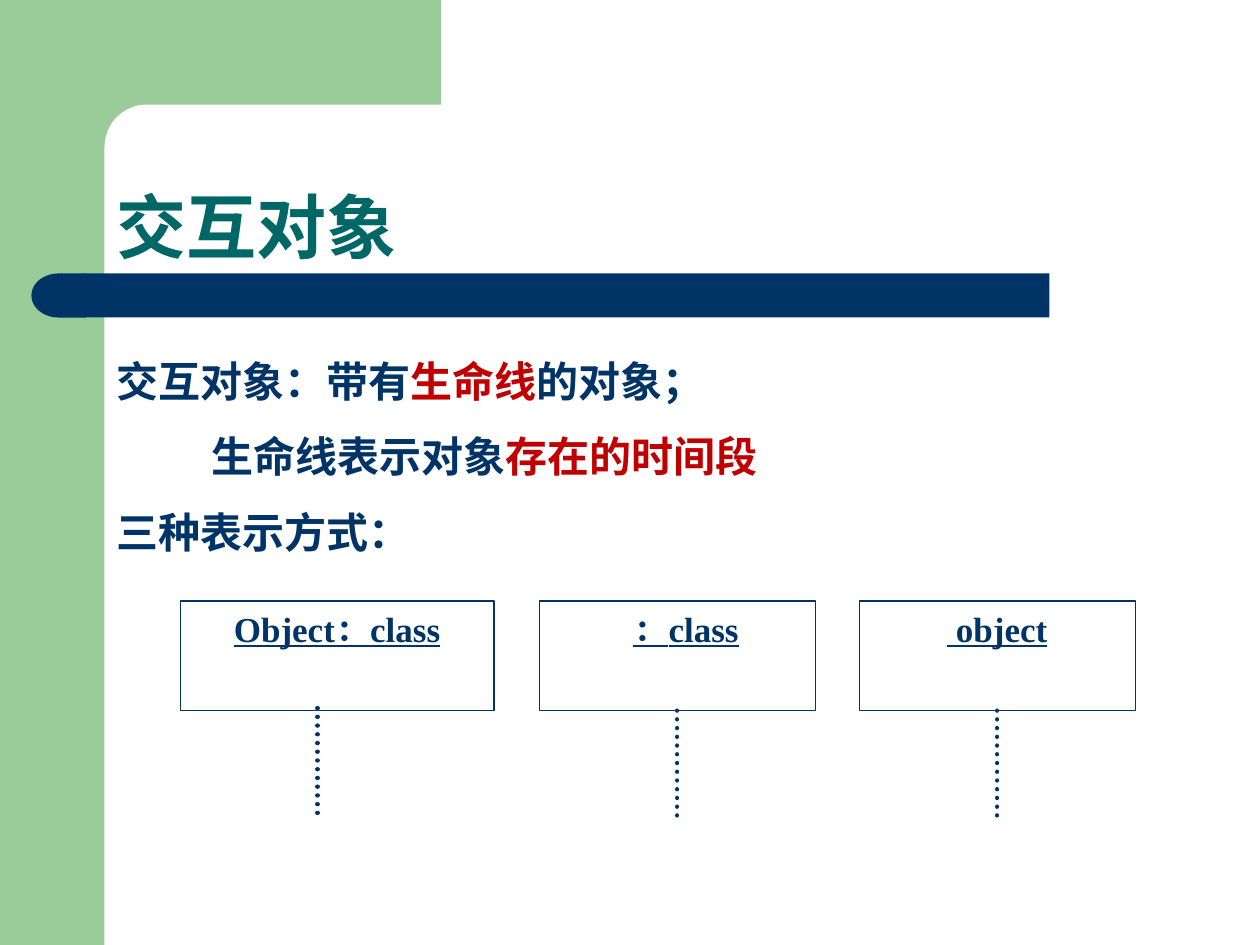
from pptx import Presentation
from pptx.dml.color import RGBColor
from pptx.enum.shapes import MSO_CONNECTOR, MSO_SHAPE
from pptx.enum.text import MSO_ANCHOR, PP_ALIGN
from pptx.oxml.ns import qn
from pptx.util import Inches, Pt
from lxml.etree import SubElement

COLORS = {"green": "99CC99", "white": "FFFFFF", "navy": "003366",
          "teal": "006666", "red": "C00000"}
CJK_TITLE, CJK_BODY, LATIN = "Noto Sans CJK JP", "Noto Sans CJK SC", "Times New Roman"


def rgb(name):
    return RGBColor.from_string(COLORS[name])


def add_box(s, kind, x, y, w, h, fill=None, line=None):
    sp = s.shapes.add_shape(kind, Inches(x), Inches(y), Inches(w), Inches(h))
    sp.shadow.inherit = False
    if fill:
        sp.fill.solid()
        sp.fill.fore_color.rgb = rgb(fill)
    else:
        sp.fill.background()
    if line:
        sp.line.color.rgb = rgb(line)
        sp.line.width = Pt(0.75)
    else:
        sp.line.fill.background()
    return sp


def set_text(sp, paragraphs, size, font, ea_font=None, align=PP_ALIGN.LEFT,
             anchor=MSO_ANCHOR.TOP, spacing=1.0, underline=False,
             left=0.1, right=0.1):
    """Fill a shape; each paragraph is (indent, [(text, colour), ...])."""
    tf = sp.text_frame
    tf.word_wrap = True
    tf.vertical_anchor = anchor
    tf.margin_left, tf.margin_right = Inches(left), Inches(right)
    tf.margin_top = tf.margin_bottom = Inches(0.05)
    for i, (indent, runs) in enumerate(paragraphs):
        p = tf.add_paragraph() if i else tf.paragraphs[0]
        p.alignment = align
        p.line_spacing = spacing
        if indent:
            p._p.get_or_add_pPr().set("marL", str(Inches(indent)))
        for text, color in runs:
            r = p.add_run()
            r.text = text
            r.font.size, r.font.name = Pt(size), font
            r.font.bold, r.font.underline = True, underline
            r.font.color.rgb = rgb(color)
            SubElement(r._r.get_or_add_rPr(), qn("a:ea"), typeface=ea_font or font)


def add_background(s, w, h):
    edge = 0.83
    add_box(s, MSO_SHAPE.RECTANGLE, 0, 0, edge, h, fill="green")
    add_box(s, MSO_SHAPE.RECTANGLE, 0.75, 0, w * 0.35 - 0.75, 1.17, fill="green")
    corner = add_box(s, MSO_SHAPE.ROUNDED_RECTANGLE, edge, edge, 5.58, 0.67, fill="white")
    corner.adjustments[0] = 0.5


def add_title(s, x, y, w, h):
    sp = s.shapes.add_textbox(Inches(x), Inches(y), Inches(w), Inches(h))
    set_text(sp, [(0, [("交互对象", "teal")])], 40, CJK_TITLE,
             anchor=MSO_ANCHOR.BOTTOM, spacing=0.9)


def add_title_bar(s, x, y, w, h):
    cap = 0.43
    add_box(s, MSO_SHAPE.RECTANGLE, x + cap - 0.01, y, w - cap + 0.01, h, fill="navy")
    sp = add_box(s, MSO_SHAPE.FLOWCHART_DELAY, x, y, cap, h, fill="navy")
    sp._element.spPr.find(qn("a:xfrm")).set("flipH", "1")


def add_body(s, x, y, w, h):
    sp = s.shapes.add_textbox(Inches(x), Inches(y), Inches(w), Inches(h))
    set_text(sp, [
        (0, [("交互对象：带有", "navy"), ("生命线", "red"), ("的对象；", "navy")]),
        (0.75, [("生命线表示对象", "navy"), ("存在的时间段", "red")]),
        (0, [("三种表示方式：", "navy")]),
    ], 24, CJK_BODY, spacing=1.5)


def add_lifeline(s, x, top, bottom):
    line = s.shapes.add_connector(MSO_CONNECTOR.STRAIGHT, Inches(x), Inches(top),
                                  Inches(x), Inches(bottom))
    line.line.color.rgb = rgb("navy")
    line.line.width = Pt(2.5)
    ln = line.line._get_or_add_ln()
    ln.set("cap", "rnd")
    SubElement(ln, qn("a:prstDash"), val="sysDot")
    SubElement(line._element.spPr, qn("a:effectLst"))
    return line


def add_object(s, x, y, w, h, text, line_x=None, left=0.0, right=0.0):
    """Object box with its lifeline, centred unless line_x is given."""
    sp = add_box(s, MSO_SHAPE.RECTANGLE, x, y, w, h, line="navy")
    set_text(sp, [(0, [(text, "navy")])], 20, LATIN, align=PP_ALIGN.CENTER,
             underline=True, left=left, right=right)
    line = add_lifeline(s, line_x or x + w / 2, y + h - 0.02, 6.5)
    if line_x is None:
        line.begin_connect(sp, 2)


def add_objects(s, y, h):
    add_object(s, 1.43, y, 2.49, h, "Object：class", line_x=2.52)
    add_object(s, 4.28, y, 2.19, h, "：class", left=0.14)
    add_object(s, 6.82, y, 2.19, h, " object", left=0.1, right=0.1)


def main():
    w, h = 10, 7.5
    prs = Presentation()
    prs.slide_width, prs.slide_height = Inches(w), Inches(h)
    s = prs.slides.add_slide(prs.slide_layouts[6])
    add_background(s, w, h)
    add_title_bar(s, 0.25, 2.17, 8.08, 0.35)
    add_title(s, 0.83, 1.55, 8.5, 0.63)
    add_body(s, 0.83, 2.57, 8.19, 1.9)
    add_objects(s, 4.77, 0.87)
    prs.save("out.pptx")


if __name__ == "__main__":
    main()
